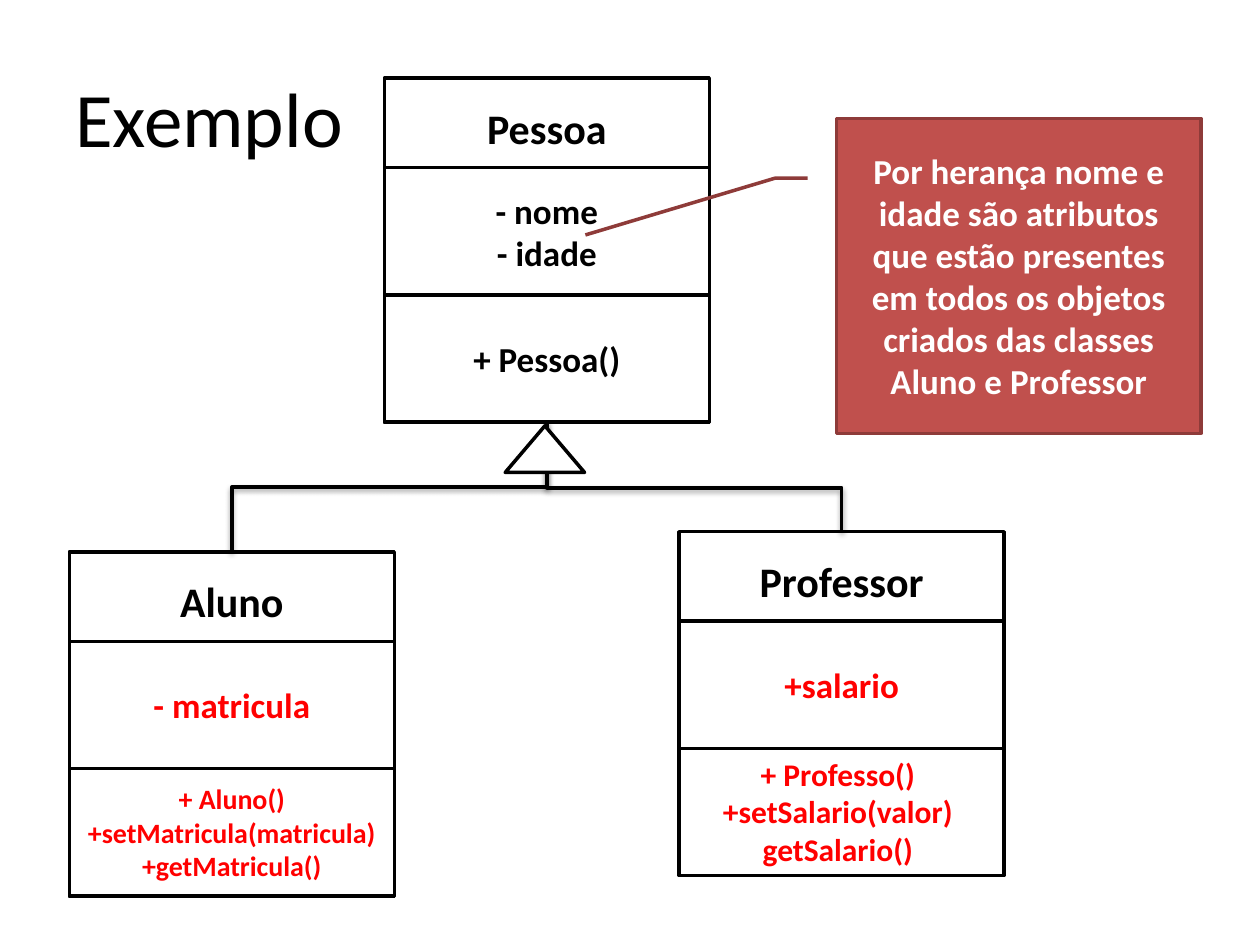
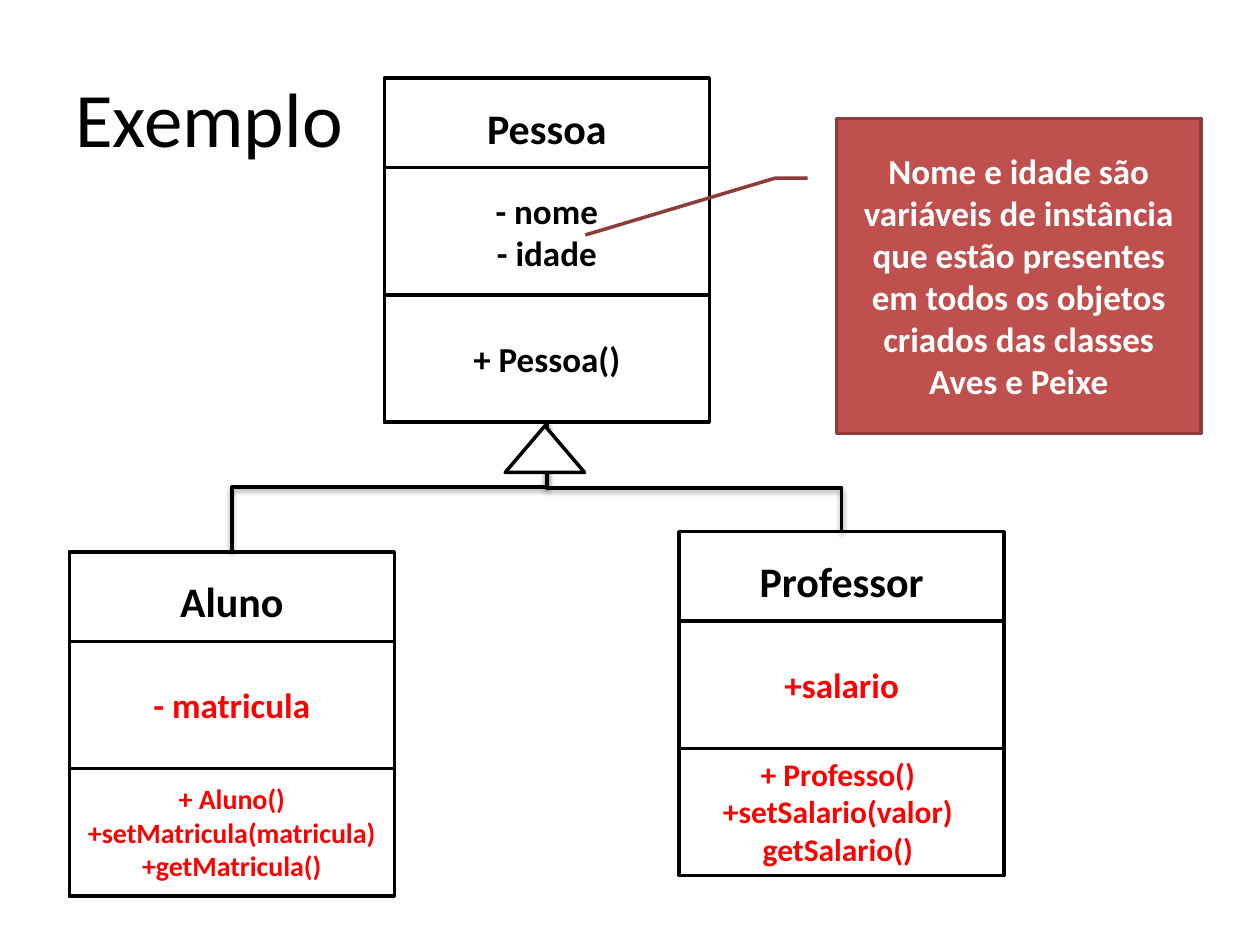
from lxml import etree
from pptx import Presentation
from pptx.dml.color import RGBColor
from pptx.enum import shapes, text
from pptx.oxml import ns
from pptx.util import Inches, Pt

COLORS = {"ink": "000000", "paper": "FFFFFF", "new": "FF0000",
          "note": "C0504D", "note_edge": "8E3B39"}
FONT = "Calibri"
BOX_WIDTH, BOX_HEIGHT = 2.58, 2.73
ATTRIBUTES_OFFSET, SECTION_HEIGHT = 0.71, 1.01
HEADER_INSET = 0.19

# name, left, top, colour of members, attributes, methods, method size
CLASSES = [
    ("Pessoa", 3.05, 0.62, "ink", ["- nome", "- idade"], ["+ Pessoa()"], 20),
    ("Aluno", 0.55, 4.38, "new", ["- matricula"],
     ["+ Aluno()", "+setMatricula(matricula)", "+getMatricula()"], 16),
    ("Professor", 5.39, 4.22, "new", ["+salario"], [], 18),
]
PROFESSOR_METHODS = ["+ Professo()", "+setSalario(valor)", "getSalario()"]
# subclass, position of the elbow along the connector
INHERITANCE = [("Aluno", 0.5), ("Professor", 0.6)]
CALLOUT_LEADER = [0.19, -0.08, 0.19, -0.17, 0.37, -0.69]
NOTES = [
    "Por herança nome e idade são atributos que estão presentes em todos "
    "os objetos criados das classes Aluno e Professor",
    "Nome e idade são variáveis de instância que estão presentes em todos "
    "os objetos criados das classes Aves e Peixe",
]


def write(shape, lines, size, color, bold=True, align="CENTER", anchor="MIDDLE"):
    frame = shape.text_frame
    frame.word_wrap = True
    frame.vertical_anchor = text.MSO_ANCHOR[anchor]
    for index, line in enumerate(lines):
        paragraph = frame.paragraphs[0] if index == 0 else frame.add_paragraph()
        paragraph.alignment = text.PP_ALIGN[align]
        run = paragraph.add_run()
        run.text = line
        run.font.name = FONT
        run.font.size = Pt(size)
        run.font.bold = bold
        run.font.color.rgb = RGBColor.from_string(COLORS[color])


def add_box(slide, kind, left, top, width, height, fill="paper", line="ink"):
    shape = slide.shapes.add_shape(kind, Inches(left), Inches(top),
                                   Inches(width), Inches(height))
    shape.shadow.inherit = False
    shape.fill.solid()
    shape.fill.fore_color.rgb = RGBColor.from_string(COLORS[fill])
    shape.line.color.rgb = RGBColor.from_string(COLORS[line])
    shape.line.width = Pt(2)
    return shape


presentation = Presentation()
presentation.slide_width = Inches(10)
presentation.slide_height = Inches(7.5)

for note in NOTES:
    slide = presentation.slides.add_slide(presentation.slide_layouts[6])

    # Title
    title = slide.shapes.add_textbox(Inches(0.5), Inches(0.3), Inches(9), Inches(1.25))
    write(title, ["Exemplo"], 44, "ink", bold=False, align="LEFT")

    # Class boxes: header, attributes, methods
    rectangle = shapes.MSO_SHAPE.RECTANGLE
    top_centers = {}
    for name, left, top, color, attributes, methods, method_size in CLASSES:
        class_box = add_box(slide, rectangle, left, top, BOX_WIDTH, BOX_HEIGHT)
        class_box.text_frame.margin_top = Inches(HEADER_INSET)
        write(class_box, [name], 24, "ink", anchor="TOP")
        sections = [(attributes, 20), (methods, method_size)]
        for row, (members, size) in enumerate(sections):
            if members:
                section_top = top + ATTRIBUTES_OFFSET + row * SECTION_HEIGHT
                section = add_box(slide, rectangle, left, section_top,
                                  BOX_WIDTH, SECTION_HEIGHT)
                write(section, members, size, color)
        top_centers[name] = (left + BOX_WIDTH / 2, top)

    # Inheritance connectors: elbows turned to leave the parent downwards
    parent_x, parent_top = top_centers["Pessoa"]
    parent_y = parent_top + BOX_HEIGHT
    for name, elbow in INHERITANCE:
        child_x, child_y = top_centers[name]
        middle_x, middle_y = (parent_x + child_x) / 2, (parent_y + child_y) / 2
        half_drop = (child_y - parent_y) / 2
        half_span = abs(child_x - parent_x) / 2
        side = 1 if child_x > parent_x else -1
        connector = slide.shapes.add_connector(
            shapes.MSO_CONNECTOR.ELBOW,
            Inches(middle_x + side * half_drop), Inches(middle_y - half_span),
            Inches(middle_x - side * half_drop), Inches(middle_y + half_span))
        connector.line.color.rgb = RGBColor.from_string(COLORS["ink"])
        connector.line.width = Pt(2)
        properties = connector._element.spPr
        rotation = 270 if side == 1 else 90
        properties.find(ns.qn("a:xfrm")).set("rot", str(rotation * 60000))
        geometry = properties.find(ns.qn("a:prstGeom"))
        guides = geometry.find(ns.qn("a:avLst"))
        if guides is None:
            guides = etree.SubElement(geometry, ns.qn("a:avLst"))
        etree.SubElement(guides, ns.qn("a:gd"), name="adj1",
                         fmla=f"val {round(elbow * 100000)}")
        effects = etree.SubElement(properties, ns.qn("a:effectLst"))
        shadow = etree.SubElement(effects, ns.qn("a:outerShdw"), blurRad="40000",
                                  dist="20000", dir="5400000", rotWithShape="0")
        shade = etree.SubElement(shadow, ns.qn("a:srgbClr"), val=COLORS["ink"])
        etree.SubElement(shade, ns.qn("a:alpha"), val="38000")

    # Inheritance arrowhead
    add_box(slide, shapes.MSO_SHAPE.ISOSCELES_TRIANGLE, 4.01, 3.38, 0.63, 0.37)

    # Methods of Professor
    professor_methods = slide.shapes.add_textbox(
        Inches(5.63), Inches(5.94), Inches(2.04), Inches(1.01))
    write(professor_methods, PROFESSOR_METHODS, 18, "new", anchor="TOP")

    # Callout pointing at the inherited attributes
    callout = add_box(slide, shapes.MSO_SHAPE.LINE_CALLOUT_2, 6.64, 0.94, 2.89, 2.5,
                      fill="note", line="note_edge")
    for index, value in enumerate(CALLOUT_LEADER):
        callout.adjustments[index] = value
    write(callout, [note], 20, "paper")

presentation.save("out.pptx")
